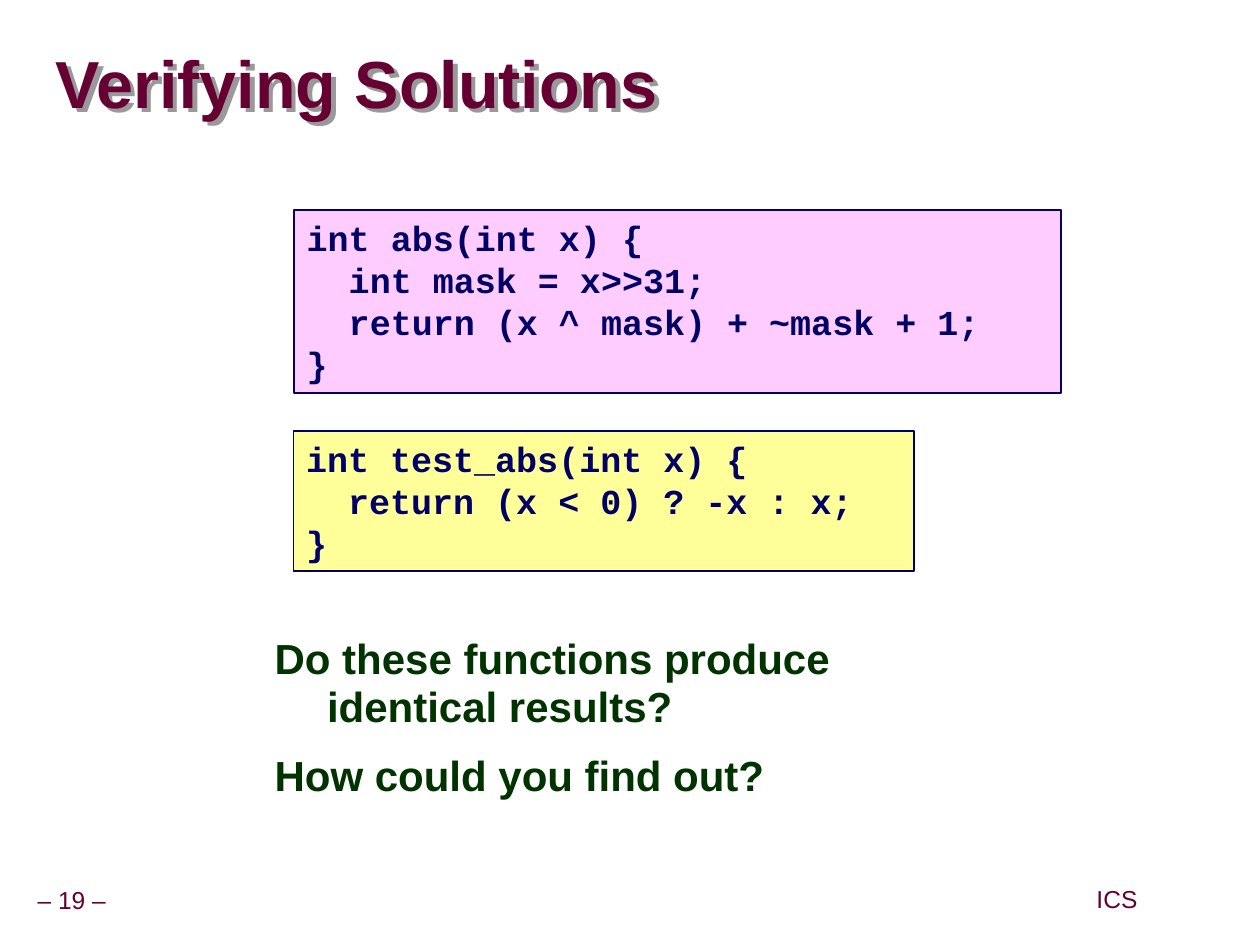
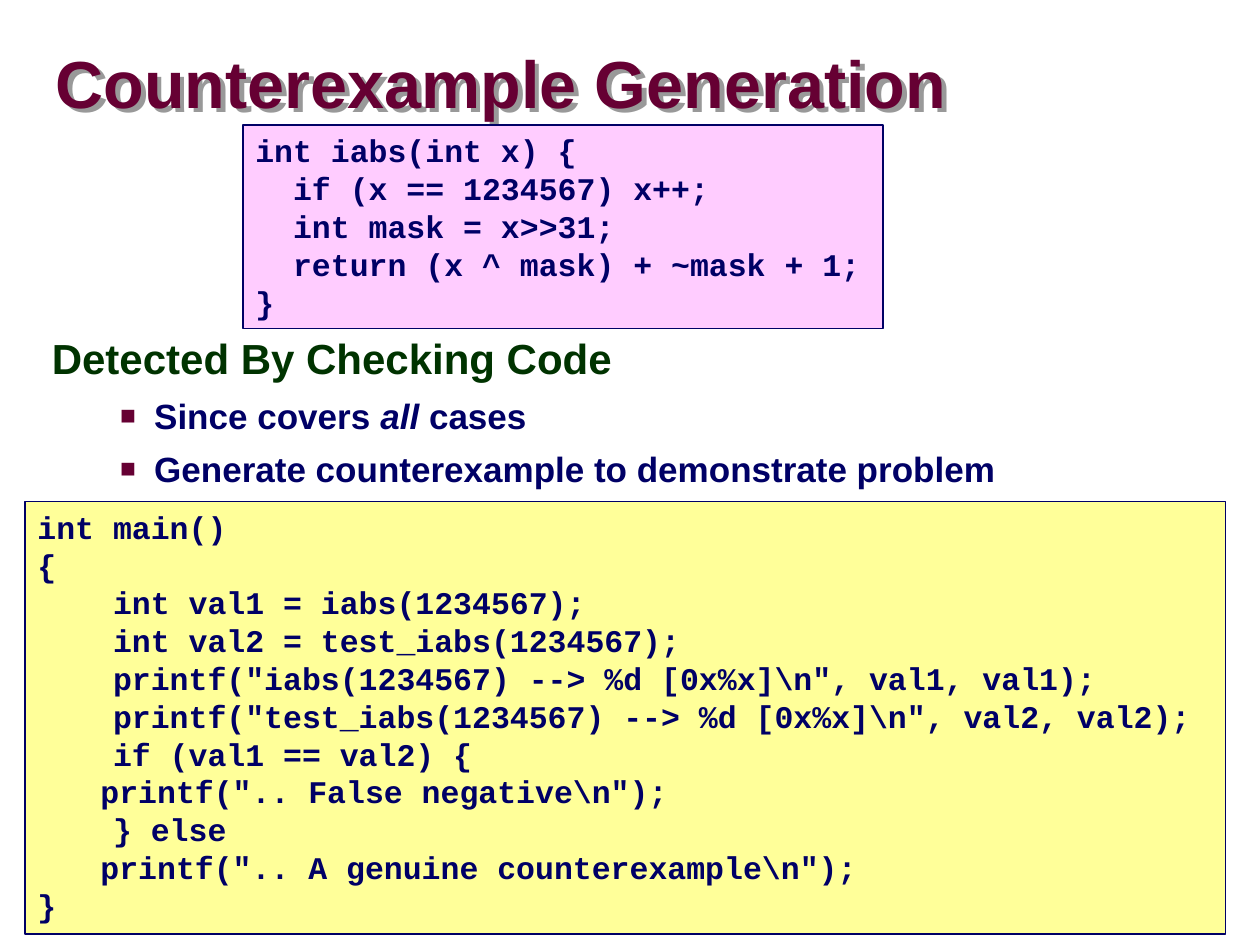
from lxml import etree
from pptx import Presentation
from pptx.dml.color import RGBColor
from pptx.enum import shapes, text
from pptx.oxml import ns
from pptx.util import Pt

WINE = RGBColor(0x66, 0x00, 0x33)
GREEN = RGBColor(0x00, 0x33, 0x00)
NAVY = RGBColor(0x00, 0x00, 0x66)
PINK = RGBColor(0xFF, 0xCC, 0xFF)
YELLOW = RGBColor(0xFF, 0xFF, 0x99)
SHADOW = RGBColor(0x99, 0x99, 0x99)

TITLE_BOX = (31.7, 19.4, 686.2, 61.2)
FOOTERS = [("– 19 –", (17.3, 504, 47.5, 22.3)), ("ICS", (622.8, 503.3, 31, 22.3))]
TITLE = dict(name="Arial", size=Pt(38), bold=True, color=WINE)
FOOTER = dict(name="Arial", size=Pt(14), bold=False, color=WINE)
HEADING = dict(name="Arial", size=Pt(24), bold=True, color=GREEN)
BULLET = dict(name="Arial", size=Pt(20), bold=True, color=NAVY)

ABS_CODE = """int abs(int x) {
  int mask = x>>31;
  return (x ^ mask) + ~mask + 1;
}"""
TEST_CODE = """int test_abs(int x) {
  return (x < 0) ? -x : x;
}"""
IABS_CODE = """int iabs(int x) {
  if (x == 1234567) x++;
  int mask = x>>31;
  return (x ^ mask) + ~mask + 1;
}"""
MAIN_CODE = r"""int main()
{
    int val1 = iabs(1234567);
    int val2 = test_iabs(1234567);
    printf("iabs(1234567) --> %d [0x%x]\n", val1, val1);
    printf("test_iabs(1234567) --> %d [0x%x]\n", val2, val2);
    if (val1 == val2) {
	printf(".. False negative\n");
    } else
	printf(".. A genuine counterexample\n");
}"""


def set_format(font, values):
    for key, value in values.items():
        if key == "color":
            font.color.rgb = value
        else:
            setattr(font, key, value)


def set_frame(frame, side=7.2, top=3.6, wrap=True, anchor=text.MSO_ANCHOR.TOP):
    frame.margin_left = frame.margin_right = Pt(side)
    frame.margin_top = frame.margin_bottom = Pt(top)
    frame.word_wrap = wrap
    frame.vertical_anchor = anchor
    frame.auto_size = text.MSO_AUTO_SIZE.NONE


def set_indent(para, left, hanging, bullet=None):
    """Hang the first line, with a square bullet if one is given."""
    props = para._p.get_or_add_pPr()
    props.set("marL", str(Pt(left)))
    props.set("indent", str(-Pt(hanging)))
    if bullet:
        color = etree.SubElement(props, ns.qn("a:buClr"))
        etree.SubElement(color, ns.qn("a:srgbClr"), val=str(WINE))
        etree.SubElement(props, ns.qn("a:buSzPct"), val="75000")
        etree.SubElement(props, ns.qn("a:buFont"), typeface="Arial")
        etree.SubElement(props, ns.qn("a:buChar"), char=bullet)


def add_text_shadow(shape):
    """Cast a hard shadow from the text of an unfilled shape."""
    shape.fill.background()
    effects = etree.SubElement(shape._element.spPr, ns.qn("a:effectLst"))
    outer = etree.SubElement(effects, ns.qn("a:outerShdw"), blurRad="0",
                             dist=str(Pt(3.8)), dir="2700000", algn="ctr", rotWithShape="0")
    etree.SubElement(outer, ns.qn("a:srgbClr"), val=str(SHADOW))


def add_page(deck, title):
    page = deck.slides.add_slide(deck.slide_layouts[5])
    box = page.shapes.title
    box.left, box.top, box.width, box.height = map(Pt, TITLE_BOX)
    set_frame(box.text_frame, 0, 0, anchor=text.MSO_ANCHOR.MIDDLE)
    para = box.text_frame.paragraphs[0]
    para.alignment = text.PP_ALIGN.LEFT
    para.line_spacing = 0.87
    span = para.add_run()
    span.text = title
    set_format(span.font, TITLE)
    add_text_shadow(box)
    return page


def add_footers(page):
    for label, place in FOOTERS:
        box = page.shapes.add_textbox(*map(Pt, place))
        set_frame(box.text_frame, 3.6, 3.6, False, text.MSO_ANCHOR.MIDDLE)
        para = box.text_frame.paragraphs[0]
        para.alignment = text.PP_ALIGN.CENTER
        para.line_spacing = 0.9
        span = para.add_run()
        span.text = label
        set_format(span.font, FOOTER)


def add_body(page, place, items):
    """Items are (is_bullet, spans); every second span is italic."""
    frame = page.shapes.add_textbox(*map(Pt, place)).text_frame
    set_frame(frame)
    for index, (is_bullet, spans) in enumerate(items):
        para = frame.add_paragraph() if index else frame.paragraphs[0]
        if is_bullet:
            para.level = 1
            set_indent(para, 58.5, 19.5, "■")
        else:
            set_indent(para, 30, 30)
            para.line_spacing = 0.95
        if index:
            para.space_before = Pt(6 if is_bullet else 12)
        for order, words in enumerate(spans):
            span = para.add_run()
            span.text = words
            set_format(span.font, BULLET if is_bullet else HEADING)
            span.font.italic = order % 2 == 1


def add_code(page, place, code, fill, size):
    box = page.shapes.add_shape(shapes.MSO_SHAPE.RECTANGLE, *map(Pt, place))
    box.shadow.inherit = False
    box.fill.solid()
    box.fill.fore_color.rgb = fill
    box.line.color.rgb = NAVY
    box.line.width = Pt(1)
    frame = box.text_frame
    set_frame(frame)
    for index, line in enumerate(code.split("\n")):
        para = frame.add_paragraph() if index else frame.paragraphs[0]
        para.alignment = text.PP_ALIGN.LEFT
        span = para.add_run()
        span.text = line
        set_format(span.font, dict(name="Courier New", size=Pt(size), bold=True, color=NAVY))


def build_verifying(deck):
    page = add_page(deck, "Verifying Solutions")
    add_footers(page)
    add_body(page, (149.8, 360, 418.3, 150.5), [
        (False, ["Do these functions produce identical results?"]),
        (False, ["How could you find out?"]),
    ])
    add_code(page, (168.2, 120, 438, 104.5), ABS_CODE, PINK, 20)
    add_code(page, (167.8, 246.2, 354.5, 80), TEST_CODE, YELLOW, 20)


def build_counterexample(deck):
    page = add_page(deck, "Counterexample Generation")
    add_body(page, (22.5, 188.6, 654.5, 220.3), [
        (False, ["Detected By Checking Code"]),
        (True, ["Since covers ", "all ", "cases"]),
        (True, ["Generate counterexample to demonstrate problem"]),
    ])
    add_code(page, (138.8, 71.5, 366, 116.2), IABS_CODE, PINK, 18)
    add_code(page, (14.3, 286.6, 686, 247), MAIN_CODE, YELLOW, 18)


def main():
    deck = Presentation()
    deck.slide_width, deck.slide_height = Pt(720), Pt(540)
    build_verifying(deck)
    build_counterexample(deck)
    deck.save("out.pptx")


if __name__ == "__main__":
    main()
